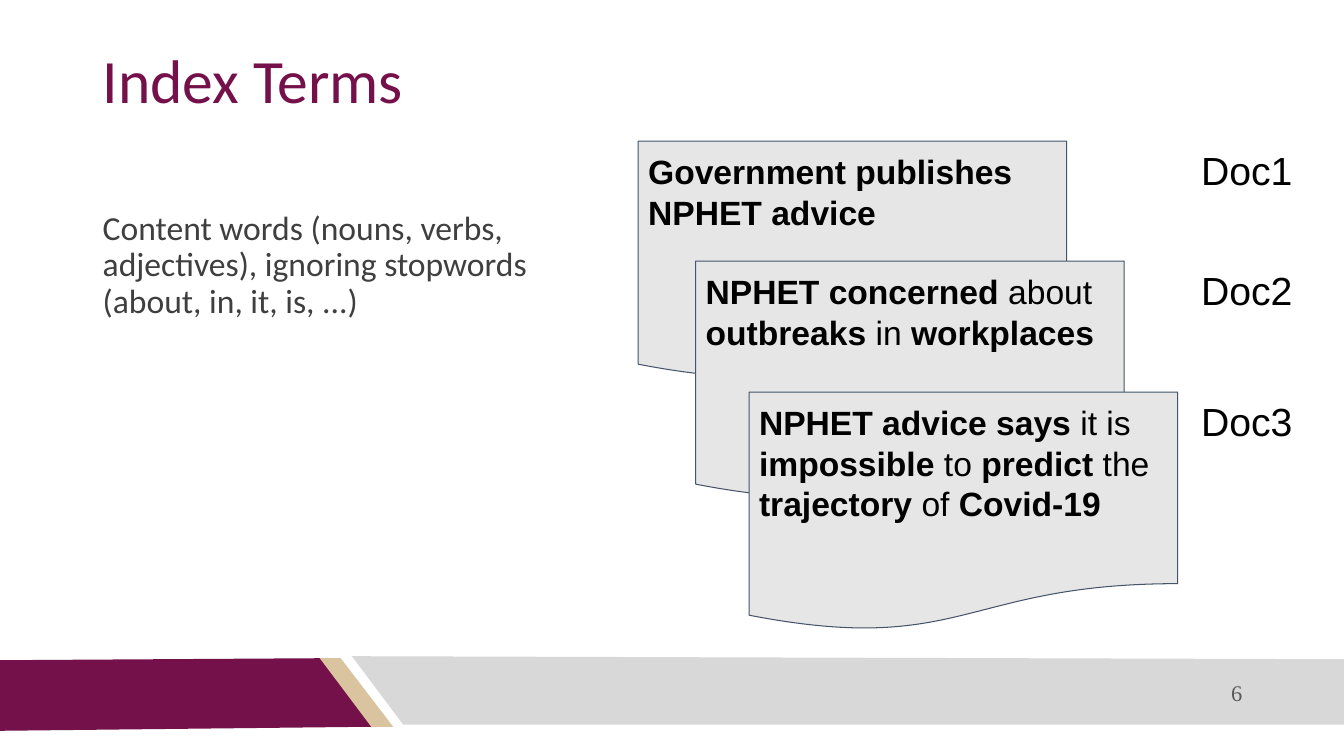
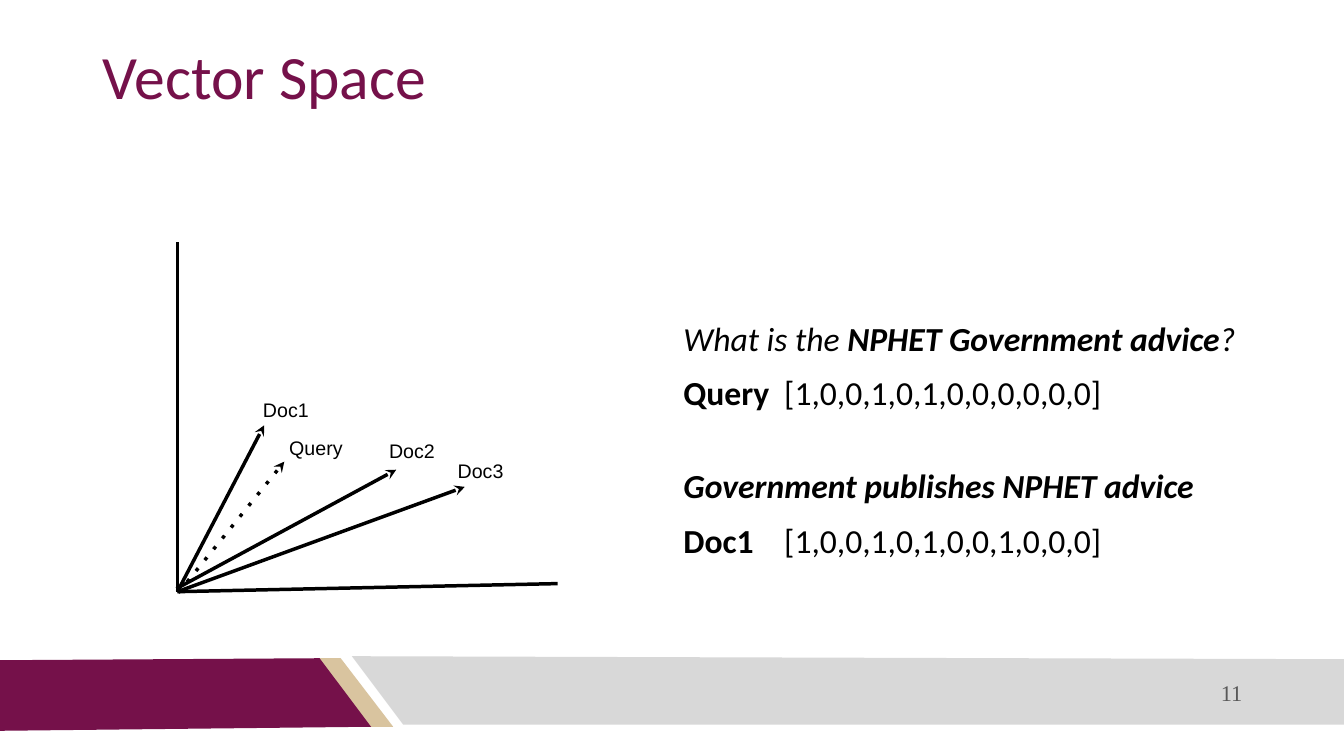
from dataclasses import dataclass

from lxml.etree import SubElement
from pptx import Presentation
from pptx.dml.color import RGBColor
from pptx.enum.shapes import MSO_CONNECTOR as CONN, MSO_SHAPE as SHAPE
from pptx.enum.text import MSO_ANCHOR as ANCHOR, PP_ALIGN as ALIGN
from pptx.oxml.ns import qn
from pptx.util import Pt

PX = 9144  # EMU per px, 100 px to the inch


@dataclass(frozen=True)
class Theme:
    plum: str = "75114A"
    sand: str = "D9C49F"
    band: str = "D8D8D8"
    page: str = "E7E6E6"
    edge: str = "44546A"
    ink: str = "000000"
    body: str = "3F3F3F"
    muted: str = "595959"
    sans: str = "Calibri"
    plain: str = "Arial"
    serif: str = "Times New Roman"
    title_size: int = 44
    label_size: int = 28
    text_size: int = 24
    number_size: int = 16
    small_size: int = 14


T = Theme()
BANDS = (
    (T.sand, [(316, 653), (338, 653), (390, 721), (367, 721)]),
    (T.plum, [(0, 655), (317, 653), (368, 721), (0, 725)]),
    (T.band, [(349, 651), (1333, 654), (1333, 719), (400, 719)]),
)


def px(*values):
    return [round(v * PX) for v in values]


def rgb(code):
    return RGBColor.from_string(code)


# Text: a paragraph is a list of (text, marks) runs; marks hold "b" and "i"
def write(tf, paragraphs, size, font, color, inset=10, align=ALIGN.LEFT,
          anchor=ANCHOR.TOP, spacing=None):
    tf.word_wrap = True
    tf.vertical_anchor = anchor
    tf.margin_left, tf.margin_right, tf.margin_top, tf.margin_bottom = px(
        10, 10, inset, inset)
    for n, runs in enumerate(paragraphs):
        p = tf.add_paragraph() if n else tf.paragraphs[0]
        p.alignment = align
        if spacing:
            p.line_spacing = spacing
        for text, marks in runs:
            r = p.add_run()
            r.text = text
            r.font.size, r.font.name = Pt(size), font
            r.font.color.rgb = rgb(color)
            r.font.bold, r.font.italic = "b" in marks, "i" in marks


def add_text(slide, box, paragraphs, *style, **options):
    sp = slide.shapes.add_textbox(*px(*box))
    write(sp.text_frame, paragraphs, *style, **options)
    return sp.text_frame


def add_line(slide, start, end, dash=None, arrow=False):
    cx = slide.shapes.add_connector(CONN.STRAIGHT, *px(*start, *end))
    cx.line.color.rgb = rgb(T.ink)
    cx.line.width = Pt(2.5)
    sp_pr = cx.element.spPr
    ln = sp_pr.find(qn("a:ln"))
    if dash:
        SubElement(ln, qn("a:prstDash"), val=dash)
    if arrow:
        SubElement(ln, qn("a:tailEnd"), type="stealth")
    SubElement(sp_pr, qn("a:effectLst"))


# Shared frame: bands, title and page number
def new_slide(prs, title, number, title_top):
    slide = prs.slides.add_slide(prs.slide_layouts[6])
    for color, points in BANDS:
        outline = slide.shapes.build_freeform(*points[0], scale=PX)
        outline.add_line_segments(points[1:], close=True)
        sp = outline.convert_to_shape()
        sp.shadow.inherit = False
        sp.fill.solid()
        sp.fill.fore_color.rgb = rgb(color)
        sp.line.fill.background()
    add_text(slide, (92, title_top, 1150, 145), [[(title, "")]],
             T.title_size, T.sans, T.plum, spacing=0.9)
    add_text(slide, (792, 669, 450, 40), [[(number, "")]],
             T.number_size, T.serif, T.muted, inset=5, align=ALIGN.RIGHT)
    return slide


# Overlapping document pages, each with its label at the right edge
def document_stack(slide, left, top, width, documents):
    for name, dx, dy, runs in documents:
        sp = slide.shapes.add_shape(
            SHAPE.FLOWCHART_DOCUMENT, *px(left + dx, top + dy, 425, 237))
        sp.shadow.inherit = False
        sp.fill.solid()
        sp.fill.fore_color.rgb = rgb(T.page)
        sp.line.color.rgb = rgb(T.edge)
        sp.line.width = Pt(0.75)
        write(sp.text_frame, [runs], T.text_size, T.plain, T.ink)
        add_text(slide, (left + width - 145, top + dy, 145, 57), [[(name, "")]],
                 T.label_size, T.plain, T.ink, align=ALIGN.CENTER,
                 anchor=ANCHOR.MIDDLE)


# Two axes and labelled vectors, measured from the origin
def vector_plot(slide, left, top, width, height, vectors):
    ox, oy = left, top + height
    add_line(slide, (ox, oy), (ox + width, oy - 8))
    add_line(slide, (ox, oy), (ox, top))
    for name, (sx, sy), (tx, ty), (lx, ly), dash in vectors:
        add_line(slide, (ox + sx, oy + sy), (ox + tx, oy + ty), dash, True)
        add_text(slide, (ox + lx, oy + ly, 91, 34), [[(name, "")]],
                 T.small_size, T.plain, T.ink, inset=5)


def index_terms(prs):
    slide = new_slide(prs, "Index Terms", "6", 40)
    document_stack(slide, 633, 140, 676, [
        ("Doc1", 0, 0, [("Government publishes NPHET advice", "b")]),
        ("Doc2", 57, 119, [
            ("NPHET concerned ", "b"), ("about ", ""), ("outbreaks", "b"),
            (" in ", ""), ("workplaces", "b")]),
        ("Doc3", 110, 249, [
            ("NPHET advice says ", "b"), ("it is ", ""), ("impossible ", "b"),
            ("to ", ""), ("predict ", "b"), ("the ", ""),
            ("trajectory ", "b"), ("of ", ""), ("Covid-19", "b")]),
    ])
    terms = ("Content words (nouns, verbs, adjectives), "
             "ignoring stopwords (about, in, it, is, ...)")
    add_text(slide, (92, 200, 462, 417), [[(terms, "")]],
             T.text_size, T.sans, T.body, spacing=0.9)


def vector_space(prs):
    slide = new_slide(prs, "Vector Space", "11", 36)
    vector_plot(slide, 176, 240, 377, 347, [
        ("Doc1", (0, 0), (86, -165), (75, -197), None),
        ("Doc3", (0, 0), (285, -104), (268, -137), None),
        ("Doc2", (-1, -3), (217, -121), (200, -156), None),
        ("Query", (1, 1), (106, -129), (101, -159), "dot"),
    ])
    tf = add_text(slide, (668, 310, 597, 281), [
        [("What is the ", "i"), ("NPHET Government advice", "bi"), ("?", "i")],
        [("Query", "b"), ("\t[1,0,0,1,0,1,0,0,0,0,0,0]", "")],
        [("Government publishes NPHET advice", "bi")],
        [("Doc1", "b"), ("\t[1,0,0,1,0,1,0,0,1,0,0,0]", "")],
    ], T.text_size, T.sans, T.ink, inset=5, align=ALIGN.JUSTIFY)
    for p, gap in zip(tf.paragraphs[1:], (10, 38, 10)):
        p.space_before = Pt(gap)


def main():
    prs = Presentation()
    prs.slide_width, prs.slide_height = px(1333, 750)
    index_terms(prs)
    vector_space(prs)
    prs.save("out.pptx")


if __name__ == "__main__":
    main()
